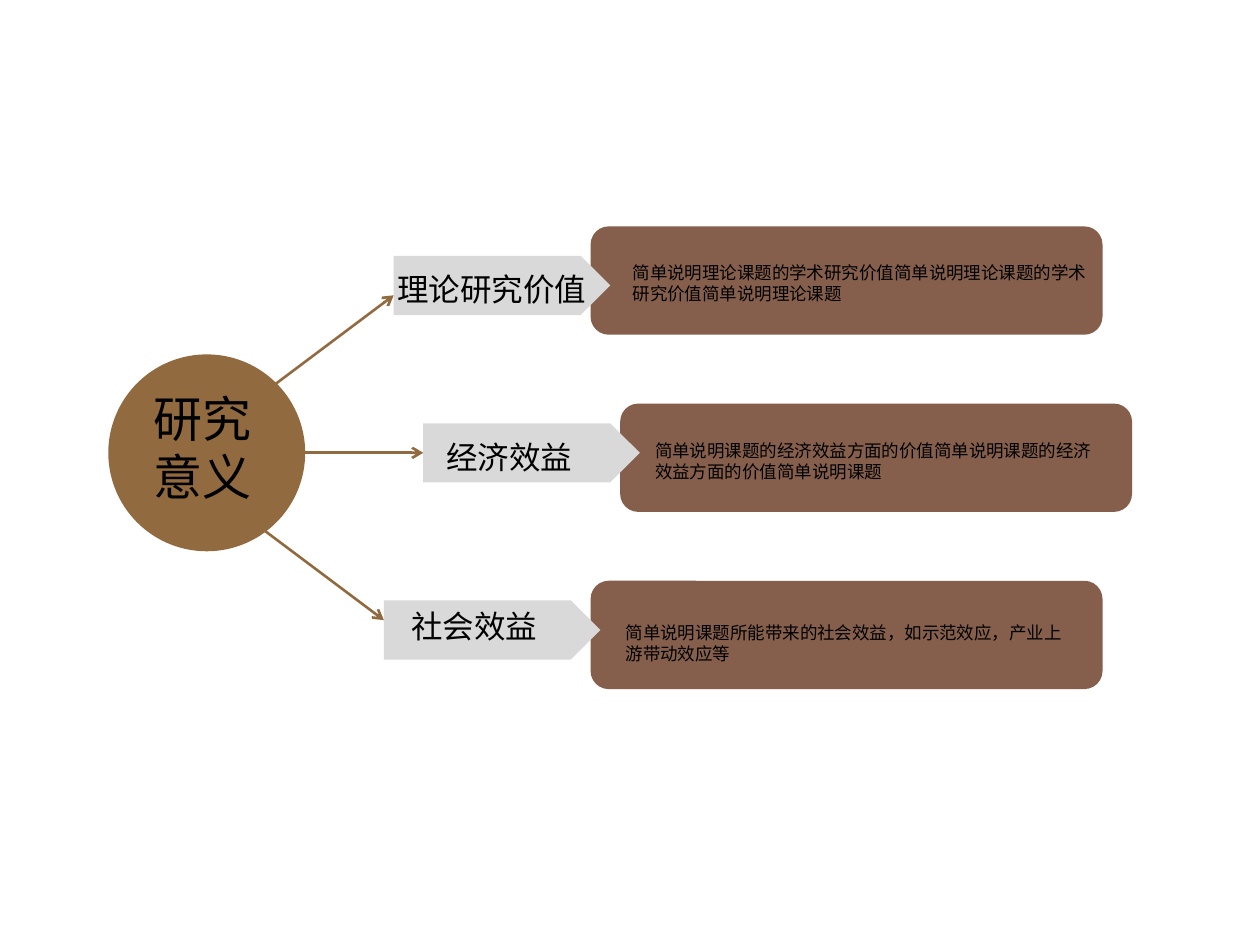
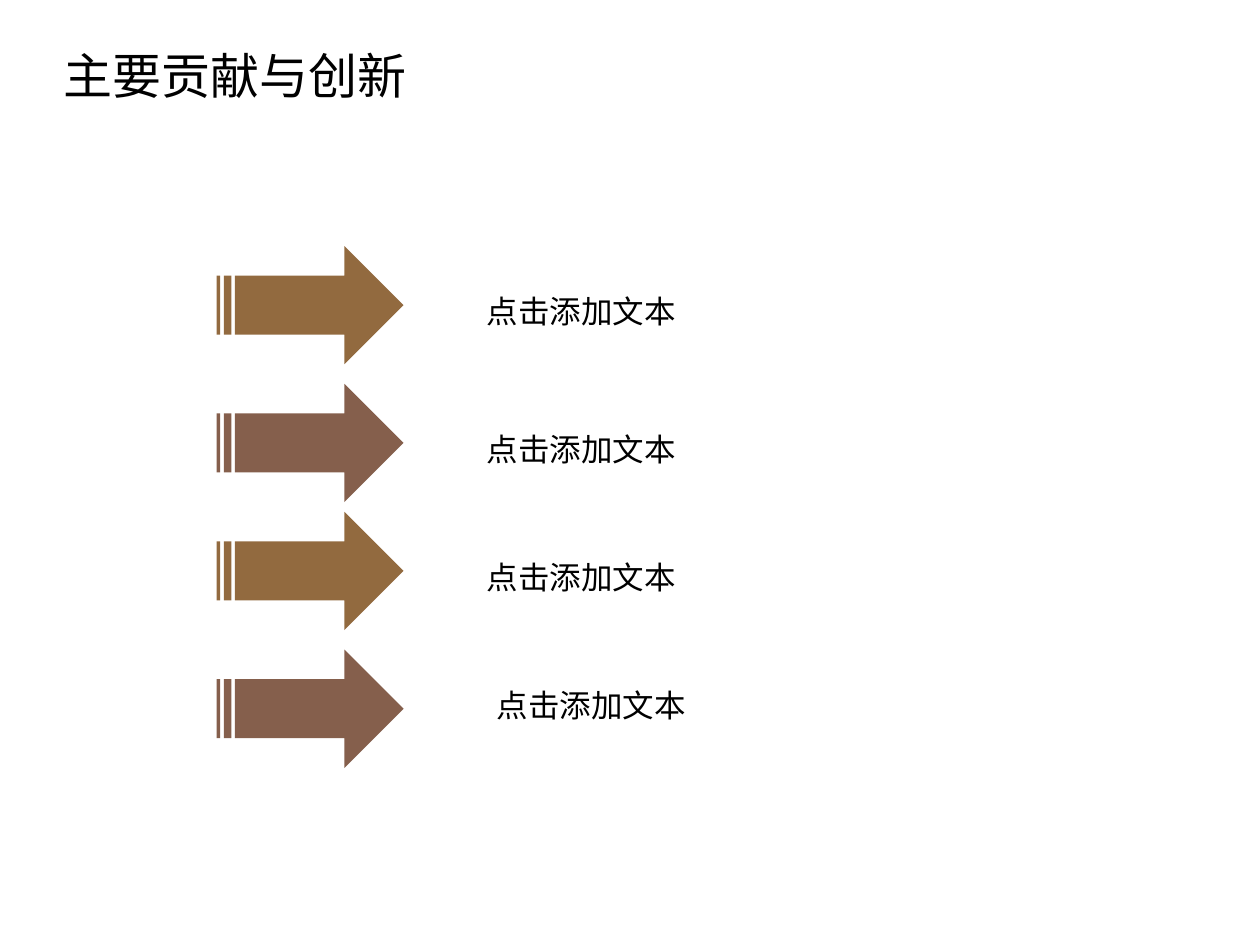
from lxml import etree
from pptx import Presentation
from pptx.dml.color import RGBColor
from pptx.enum.shapes import MSO_CONNECTOR, MSO_SHAPE
from pptx.enum.text import MSO_ANCHOR, MSO_AUTO_SIZE, PP_ALIGN
from pptx.oxml.ns import qn
from pptx.util import Emu, Pt

# Shared style
EMU_PER_PX = 914400 / 128
SLIDE_SIZE = (1280, 960)
FONT = "Noto Sans CJK SC"
COLORS = {"bronze": "926A3F", "brown": "855F4C", "grey": "D9D9D9", "text": "000000"}
HEADING, LABEL, NOTE = 28, 18, 10
TITLE_ONLY, BLANK = 5, 6

OVAL = MSO_SHAPE.OVAL
CARD = MSO_SHAPE.ROUNDED_RECTANGLE
TAG = MSO_SHAPE.PENTAGON
STRIPED_ARROW = MSO_SHAPE.STRIPED_RIGHT_ARROW
STRAIGHT = MSO_CONNECTOR.STRAIGHT
LEFT_SIDE = 1

# Tag box, label and card offsets from the tag, note offset from the card, arrow
BRANCHES = [
    {"tag": (400, 260), "label": "理论研究价值", "label_at": (-9, 8), "label_w": 218,
     "card_at": (200, -30), "note_at": (30, 30), "note_w": 492,
     "note": ["简单说明理论课题的学术研究价值简单说明理论课题的学术",
              "研究价值简单说明理论课题"],
     "arrow": (280, 390, 400, 300)},
    {"tag": (430, 430), "label": "经济效益", "label_at": (11, 9), "label_w": 154,
     "card_at": (200, -20), "note_at": (23, 31), "note_w": 472,
     "note": ["简单说明课题的经济效益方面的价值简单说明课题的经济",
              "效益方面的价值简单说明课题"],
     "arrow": (230, 460, 430, 460)},
    {"tag": (390, 610), "label": "社会效益", "label_at": (15, 0), "label_w": 154,
     "card_at": (210, -20), "note_at": (23, 36), "note_w": 472,
     "note": ["简单说明课题所能带来的社会效益，如示范效应，产业上",
              "游带动效应等"],
     "arrow": (270, 540, 390, 630)},
]

# Arrow top, colour, label offset from the arrow
POINTS = [
    (250, "bronze", (262, 40)),
    (390, "brown", (262, 41)),
    (520, "bronze", (262, 41)),
    (660, "brown", (272, 31)),
]


def px(*lengths):
    return [Emu(round(length * EMU_PER_PX)) for length in lengths]


def rgb(name):
    return RGBColor.from_string(COLORS[name])


def write(frame, lines, size):
    frame.word_wrap = False
    frame.auto_size = MSO_AUTO_SIZE.SHAPE_TO_FIT_TEXT
    frame.vertical_anchor = MSO_ANCHOR.TOP
    for index, line in enumerate(lines):
        paragraph = frame.add_paragraph() if index else frame.paragraphs[0]
        paragraph.alignment = PP_ALIGN.LEFT
        run = paragraph.add_run()
        run.text = line
        run.font.size = Pt(size)
        run.font.color.rgb = rgb("text")
        run.font.name = FONT
        east_asian = etree.SubElement(run.font._element, qn("a:ea"))
        east_asian.set("typeface", FONT)


def add_text(slide, box, lines, size):
    write(slide.shapes.add_textbox(*px(*box)).text_frame, lines, size)


def add_solid(slide, preset, box, color):
    solid = slide.shapes.add_shape(preset, *px(*box))
    solid.shadow.inherit = False
    solid.fill.solid()
    solid.fill.fore_color.rgb = rgb(color)
    solid.line.fill.background()
    return solid


def add_arrow(slide, ends):
    arrow = slide.shapes.add_connector(STRAIGHT, *px(*ends))
    arrow.line.color.rgb = rgb("bronze")
    arrow.line.width = Pt(1.5)
    etree.SubElement(arrow.line._get_or_add_ln(), qn("a:tailEnd")).set("type", "arrow")
    etree.SubElement(arrow._element.spPr, qn("a:effectLst"))
    return arrow


def add_hub(slide, x, y, diameter):
    add_solid(slide, OVAL, (x, y, diameter, diameter), "bronze")
    add_text(slide, (x + 33, y + 28, 132, 133), ["研究", "意义"], HEADING)


def add_branch(slide, branch):
    x, y = branch["tag"]
    tag_w, tag_h = 220, 60

    # Card with its note
    card_x, card_y = x + branch["card_at"][0], y + branch["card_at"][1]
    add_solid(slide, CARD, (card_x, card_y, 520, 110), "brown")
    dx, dy = branch["note_at"]
    add_text(slide, (card_x + dx, card_y + dy, branch["note_w"], 56), branch["note"], NOTE)

    # Tag with its label
    tag = add_solid(slide, TAG, (x, y, tag_w, tag_h), "grey")
    dx, dy = branch["label_at"]
    add_text(slide, (x + dx, y + dy, branch["label_w"], 51), [branch["label"]], LABEL)

    # Arrow from the hub, joined where it meets the middle of the tag
    arrow = add_arrow(slide, branch["arrow"])
    if branch["arrow"][2:] == (x, y + tag_h // 2):
        arrow.end_connect(tag, LEFT_SIDE)


def add_point(slide, x, y, color, label_at):
    add_solid(slide, STRIPED_ARROW, (x, y, 190, 120), color)
    dx, dy = label_at
    add_text(slide, (x + dx, y + dy, 218, 51), ["点击添加文本"], LABEL)


def add_title(slide, box, text):
    title = slide.shapes.title
    title.left, title.top, title.width, title.height = px(*box)
    write(title.text_frame, [text], HEADING)


def build_significance(prs):
    slide = prs.slides.add_slide(prs.slide_layouts[BLANK])
    add_hub(slide, 110, 360, 200)
    for branch in BRANCHES:
        add_branch(slide, branch)


def build_contributions(prs):
    slide = prs.slides.add_slide(prs.slide_layouts[TITLE_ONLY])
    add_title(slide, (52, 40, 374, 73), "主要贡献与创新")
    for top, color, label_at in POINTS:
        add_point(slide, 220, top, color, label_at)


def main():
    prs = Presentation()
    prs.slide_width, prs.slide_height = px(*SLIDE_SIZE)
    build_significance(prs)
    build_contributions(prs)
    prs.save("out.pptx")


if __name__ == "__main__":
    main()
